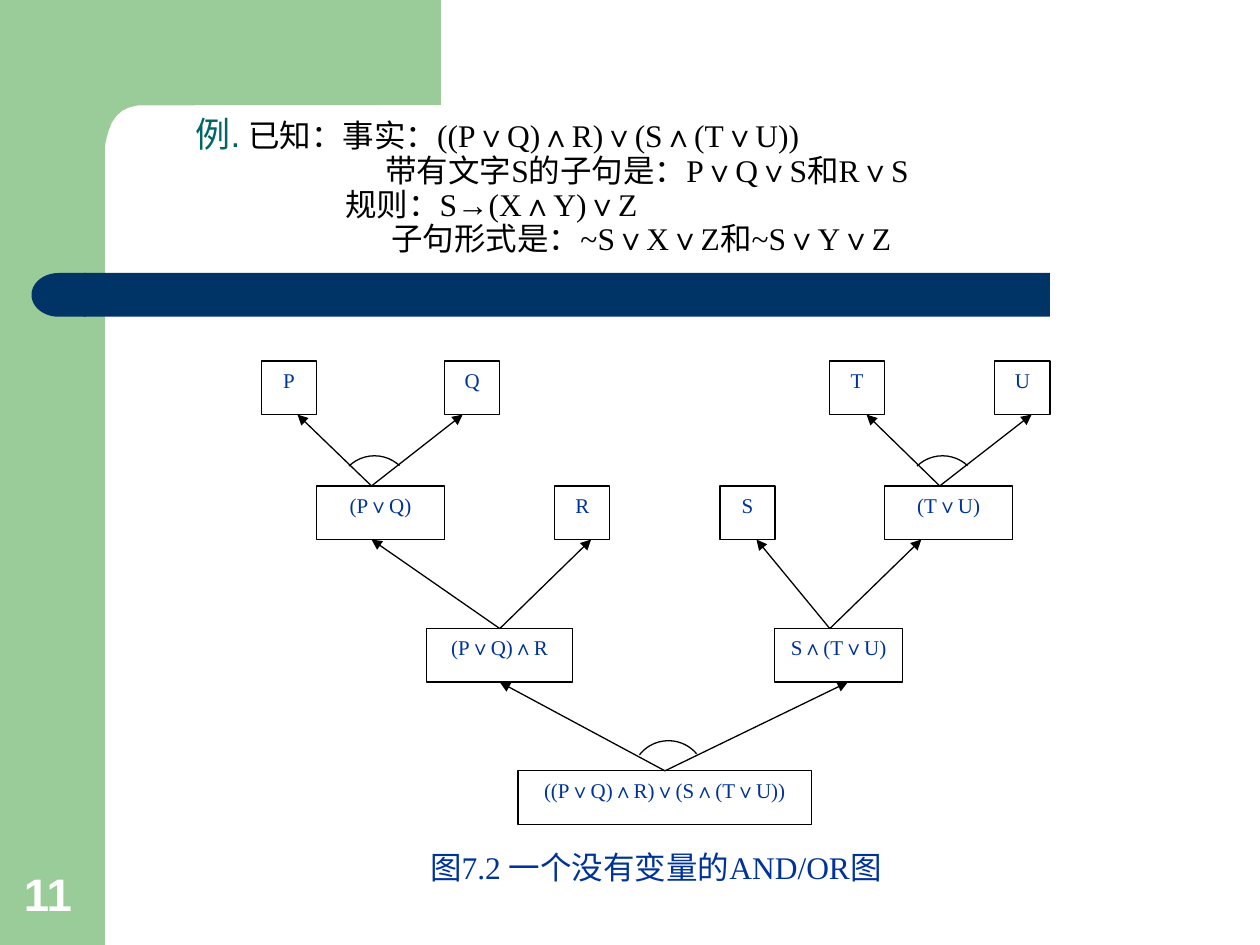
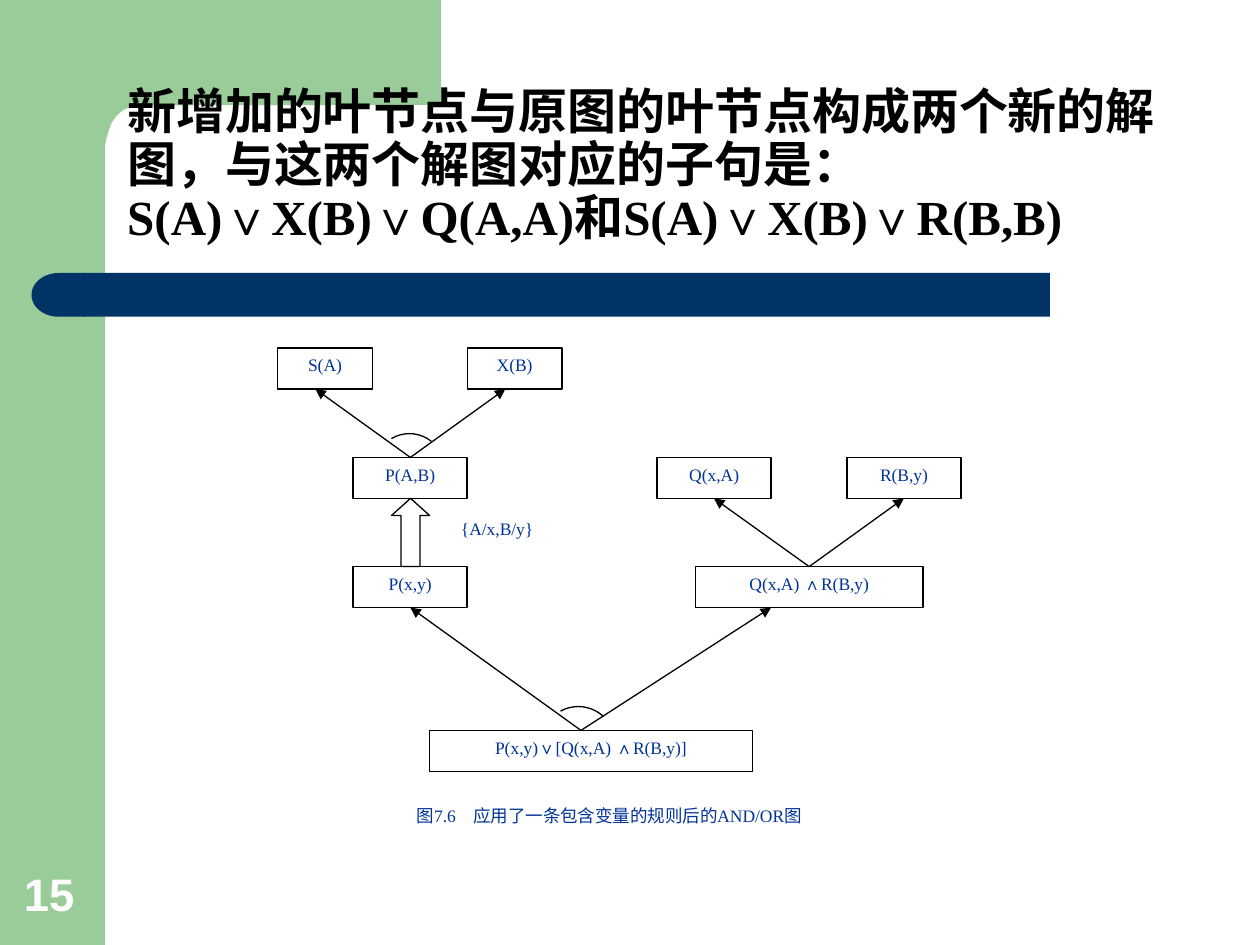
"""Builds two slides with AND/OR graphs for rule-based deduction."""
import pptx
import pptx.util
import pptx.dml.color
import pptx.enum.shapes
import pptx.enum.text
import pptx.oxml
from pptx.oxml import ns

Pt = pptx.util.Pt
RGBColor = pptx.dml.color.RGBColor
KIND = pptx.enum.shapes.MSO_SHAPE
LINE = pptx.enum.shapes.MSO_CONNECTOR.STRAIGHT
ALIGN = pptx.enum.text.PP_ALIGN
ANCHOR = pptx.enum.text.MSO_ANCHOR

GREEN = RGBColor(0x99, 0xCC, 0x99)
NAVY = RGBColor(0x00, 0x33, 0x66)
BLUE = RGBColor(0x00, 0x33, 0x99)
TEAL = RGBColor(0x00, 0x66, 0x66)
BLACK = RGBColor(0, 0, 0)
WHITE = RGBColor(255, 255, 255)
SERIF, SANS = "Times New Roman", "Arial"
CORNER = [(252, 0), (252, 60), (83.5, 60.2), (79, 60.2), (74, 61.3),
          (70, 63.2), (66.5, 66.3), (63.8, 70.3), (62, 75), (60.8, 79.5),
          (60, 83.5), (60, 92), (36, 92), (36, 0)]

DECK = [
    {
        "num": "11",
        "title": (104.5, 72),
        "heads": [
            (0, [("例.", SANS, 20, TEAL, False),
                 (" 已知：事实：((P∨Q)∧R)∨(S∧(T∨U))", SERIF, 18, BLACK, False)]),
            (108.5, [("带有文字S的子句是：P∨Q∨S和R∨S", SERIF, 18, BLACK, False)]),
            (85.5, [("规则：S→(X∧Y)∨Z", SERIF, 18, BLACK, False)]),
            (112, [("子句形式是：~S∨X∨Z和~S∨Y∨Z", SERIF, 18, BLACK, False)]),
        ],
        "size": 12, "gap": 7.5, "tall": 30.6,
        "rows": [206.3, 277.7, 359.2, 440.5],
        "nodes": [
            ("P", 149.3, 0, 31.5), ("Q", 254, 0, 31.5),
            ("T", 474, 0, 31.5), ("U", 568.5, 0, 31.5),
            ("(P∨Q)", 180.8, 1, 73.3), ("R", 317, 1, 31.5),
            ("S", 411.4, 1, 31.5), ("(T∨U)", 505.5, 1, 73.3),
            ("(P∨Q)∧R", 243.6, 2, 83.8), ("S∧(T∨U)", 442.6, 2, 73.3),
            ("((P∨Q)∧R)∨(S∧(T∨U))", 296, 3, 167.8),
        ],
        "links": [
            (212.3, 1, 170, 0), (212.3, 1, 264.4, 0),
            (537, 1, 495.2, 0), (537, 1, 589.5, 0),
            (285.6, 2, 212.3, 1), (285.6, 2, 337.8, 1),
            (474.2, 2, 432.3, 1), (474.2, 2, 526.5, 1),
            (380, 3, 285.6, 2), (380, 3, 484.5, 2),
        ],
        "arcs": [(214, 281.5, 21, 226, 313), (538.6, 281.5, 21, 226, 313),
                 (382, 444.3, 21, 218, 320)],
        "note": ("图7.2 一个没有变量的AND/OR图", 233.3, 481, 283, 18, 11.2),
    },
    {
        "num": "15",
        "title": (65.5, 65.5),
        "heads": [(0, [("新增加的叶节点与原图的叶节点构成两个新的解图，与这两个解图对应的子句是："
                        "S(A)∨X(B)∨Q(A,A)和S(A)∨X(B)∨R(B,B)", SERIF, 28, BLACK, True)])],
        "size": 10, "gap": 6.2, "tall": 23.4,
        "rows": [198.9, 261.4, 323.8, 417.4],
        "nodes": [
            ("S(A)", 158.6, 0, 54.2), ("X(B)", 267, 0, 54.2),
            ("P(A,B)", 201.8, 1, 65.2), ("Q(x,A)", 375.5, 1, 65.2),
            ("R(B,y)", 484, 1, 65.2), ("P(x,y)", 201.8, 2, 65.2),
            ("Q(x,A) ∧R(B,y)", 397.3, 2, 130.2),
            ("P(x,y)∨[Q(x,A) ∧R(B,y)]", 245.4, 3, 184.5),
        ],
        "links": [
            (234.5, 1, 180.2, 0), (234.5, 1, 288.8, 0),
            (462.4, 2, 408, 1), (462.4, 2, 516.5, 1),
            (332, 3, 234.5, 2), (332, 3, 440.6, 2),
        ],
        "arcs": [(234, 267.8, 20, 239, 309), (330.5, 424.8, 21, 241, 313)],
        "note": ("图7.6　应用了一条包含变量的规则后的AND/OR图", 190.8, 456.5, 314.6, 10, 6.2),
    },
]


def dress(shape, fill=None, edge=None):
    """Set fill and outline and drop the shadow."""
    shape.shadow.inherit = False
    for part, tint in ((shape.fill, fill), (shape.line.fill, edge)):
        if tint is None:
            part.background()
        else:
            part.solid()
            part.fore_color.rgb = tint
    if edge is not None:
        shape.line.width = Pt(0.75)
    return shape


def write(para, runs, left=0, first=0, **form):
    """Fill a paragraph with runs and format values."""
    pr = para._p.get_or_add_pPr()
    pr.set("marL", str(int(Pt(left))))
    pr.set("indent", str(int(Pt(first))))
    for key, val in form.items():
        setattr(para, key, val)
    for text, name, size, tint, bold in runs:
        run = para.add_run()
        run.text = text
        for key, val in {"name": name, "size": Pt(size), "bold": bold}.items():
            setattr(run.font, key, val)
        run.font.color.rgb = tint


deck = pptx.Presentation()
deck.slide_width, deck.slide_height = Pt(720), Pt(540)

for page in DECK:
    slide = deck.slides.add_slide(deck.slide_layouts[5])
    shapes = slide.shapes
    rows, tall, size, gap = (page[key] for key in ("rows", "tall", "size", "gap"))

    dress(shapes.add_shape(KIND.RECTANGLE, 0, 0, Pt(60), Pt(540)), GREEN)
    pen = shapes.build_freeform(Pt(36), 0)
    pen.add_line_segments([(Pt(x), Pt(y)) for x, y in CORNER], close=True)
    dress(pen.convert_to_shape(), GREEN)
    dress(shapes.add_shape(KIND.RECTANGLE, Pt(48), Pt(156), Pt(552), Pt(25)), NAVY)
    cap = shapes.add_shape(KIND.FLOWCHART_DELAY, Pt(18), Pt(156), Pt(31), Pt(25))
    dress(cap, NAVY).rotation = 180

    num = shapes.add_textbox(Pt(6.5), Pt(491.8), Pt(46), Pt(38)).text_frame
    num.word_wrap, num.vertical_anchor = True, ANCHOR.BOTTOM
    write(num.paragraphs[0], [(page["num"], SANS, 26, WHITE, True)])

    title = shapes.title
    left, top = page["title"]
    spot = {"left": left, "top": top, "width": 612.7, "height": 78.5}
    for key, val in spot.items():
        setattr(title, key, Pt(val))
    frame = title.text_frame
    look = {"word_wrap": True, "vertical_anchor": ANCHOR.BOTTOM,
            "auto_size": pptx.enum.text.MSO_AUTO_SIZE.NONE}
    for key, val in look.items():
        setattr(frame, key, val)
    for i, (inset, runs) in enumerate(page["heads"]):
        para = frame.add_paragraph() if i else frame.paragraphs[0]
        write(para, runs, inset, alignment=ALIGN.LEFT, line_spacing=0.9,
              space_before=Pt(0))
    shapes._spTree.append(title._element)

    for text, x, row, wide in page["nodes"]:
        node = shapes.add_shape(KIND.RECTANGLE, Pt(x), Pt(rows[row]), Pt(wide), Pt(tall))
        frame = dress(node, WHITE, BLACK).text_frame
        frame.word_wrap, frame.vertical_anchor = True, ANCHOR.TOP
        write(frame.paragraphs[0], [(text, SERIF, size, BLUE, False)], 27, -27,
              alignment=ALIGN.CENTER, space_before=Pt(gap))

    for x, low, end, high in page["links"]:
        link = shapes.add_connector(LINE, Pt(x), Pt(rows[low]),
                                    Pt(end), Pt(rows[high] + tall))
        link.line.color.rgb, link.line.width = BLACK, Pt(0.75)
        tip = pptx.oxml.parse_xml(f'<a:tailEnd {ns.nsdecls("a")} type="triangle"/>')
        link.line._get_or_add_ln().append(tip)
        bare = pptx.oxml.parse_xml(f'<a:effectLst {ns.nsdecls("a")}/>')
        link._element.spPr.append(bare)

    for x, y, rad, start, stop in page["arcs"]:
        arc = shapes.add_shape(KIND.ARC, Pt(x - rad), Pt(y - rad), Pt(2 * rad), Pt(2 * rad))
        dress(arc, None, BLACK)
        for i, turn in enumerate((start, stop)):
            arc.adjustments[i] = turn * 0.6

    text, x, y, wide, big, space = page["note"]
    note = shapes.add_textbox(Pt(x), Pt(y), Pt(wide), Pt(30)).text_frame
    note.word_wrap = True
    write(note.paragraphs[0], [(text, SERIF, big, BLUE, False)], 27, -27,
          alignment=ALIGN.CENTER, space_before=Pt(space))

arrow = shapes.add_shape(KIND.UP_ARROW, Pt(223.7), Pt(284.8), Pt(21.8), Pt(39))
dress(arrow, WHITE, BLACK)
arrow.adjustments[0], arrow.adjustments[1] = 0.5, 0.45
swap = shapes.add_shape(KIND.RECTANGLE, Pt(256.3), Pt(292.5), Pt(75.6), Pt(23.7))
frame = dress(swap, WHITE).text_frame
frame.word_wrap, frame.vertical_anchor = True, ANCHOR.TOP
write(frame.paragraphs[0], [("{A/x,B/y}", SERIF, 10, BLUE, False)], 27, -27,
      alignment=ALIGN.JUSTIFY, space_before=Pt(6.2))

deck.save("out.pptx")
